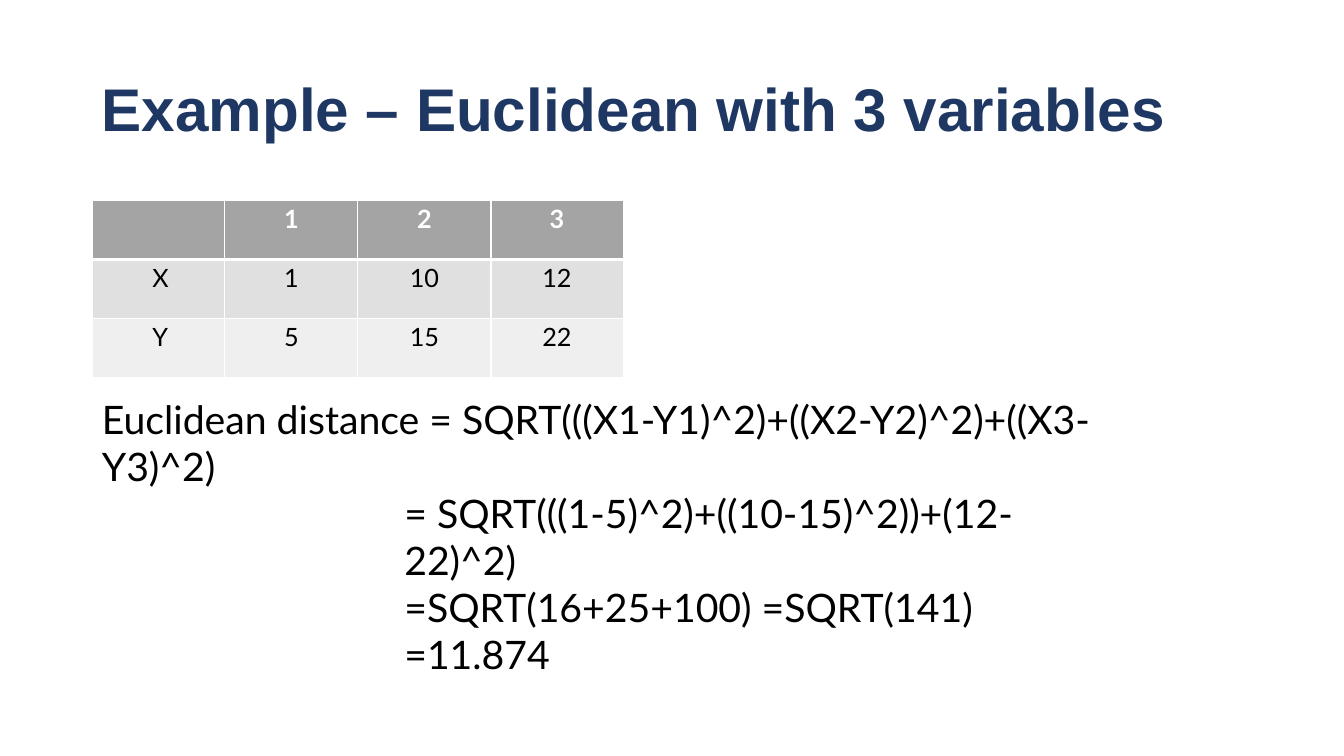
from pptx import Presentation
from pptx.dml.color import RGBColor
from pptx.enum.text import MSO_ANCHOR, PP_ALIGN
from pptx.oxml import parse_xml
from pptx.oxml.ns import nsdecls
from pptx.util import Inches, Pt

NAVY = RGBColor(0x1F, 0x38, 0x63)
WHITE = RGBColor(0xFF, 0xFF, 0xFF)
BLACK = RGBColor(0, 0, 0)
ROW_FILLS = [RGBColor(0xA4, 0xA4, 0xA4), RGBColor(0xE0, 0xE0, 0xE0), RGBColor(0xEF, 0xEF, 0xEF)]


def write(paragraph, text, name, size, color, bold=False, before=0, indent=0):
    paragraph.space_before = Pt(before)
    paragraph._p.get_or_add_pPr().set("marL", str(Inches(indent)))
    paragraph._p.get_or_add_pPr().set("indent", "0")
    run = paragraph.add_run()
    run.text = text
    for attribute, value in {"name": name, "size": Pt(size), "bold": bold}.items():
        setattr(run.font, attribute, value)
    run.font.color.rgb = color


def set_frame(frame):
    settings = {"margin_left": 0, "margin_right": 0, "margin_top": Inches(0.01), "margin_bottom": 0,
                "word_wrap": True, "vertical_anchor": MSO_ANCHOR.TOP}
    for attribute, value in settings.items():
        setattr(frame, attribute, value)


presentation = Presentation()
presentation.slide_width = Inches(13.33)
presentation.slide_height = Inches(7.5)
slide = presentation.slides.add_slide(presentation.slide_layouts[5])

title = slide.shapes.title
title.left, title.top, title.width, title.height = map(Inches, (1, 0.7, 10.58, 0.74))
set_frame(title.text_frame)
title_paragraph = title.text_frame.paragraphs[0]
title_paragraph.alignment = PP_ALIGN.LEFT
write(title_paragraph, "Example – Euclidean with 3 variables", "Arial", 43, NAVY, True, 0.9, 0.01)

points = [["", "1", "2", "3"], ["X", "1", "10", "12"], ["Y", "5", "15", "22"]]
row_spacing = [2.2, 2.4, 2.5]
line_widths = [0.75, 3, 1, 0.5]
table_frame = slide.shapes.add_table(3, 4, Inches(0.92), Inches(1.99), Inches(5.26), Inches(1.75))
table = table_frame.table
for column, width in zip(table.columns, (1.31, 1.32, 1.32, 1.31)):
    column.width = Inches(width)
for row_index, values in enumerate(points):
    table.rows[row_index].height = Inches(1.75 / 3)
    for column_index, value in enumerate(values):
        cell = table.cell(row_index, column_index)
        for side in ("left", "right", "bottom"):
            setattr(cell, f"margin_{side}", 0)
        cell.margin_top = Inches(0.03)
        borders = {"lnL": 1 if column_index else 0.5, "lnR": 1 if column_index < 3 else 0.75,
                   "lnT": line_widths[row_index], "lnB": line_widths[row_index + 1]}
        for tag, width in borders.items():
            cell._tc.get_or_add_tcPr().append(parse_xml(
                f'<a:{tag} {nsdecls("a")} w="{Pt(width)}"><a:solidFill>'
                f'<a:srgbClr val="{WHITE}"/></a:solidFill></a:{tag}>'))
        cell.fill.solid()
        cell.fill.fore_color.rgb = ROW_FILLS[row_index]
        if value:
            is_header = row_index == 0
            paragraph = cell.text_frame.paragraphs[0]
            paragraph.alignment = PP_ALIGN.CENTER if column_index else PP_ALIGN.LEFT
            write(paragraph, value, "Lato", 18, WHITE if is_header else BLACK, is_header,
                  row_spacing[row_index], 0 if column_index else 0.59)

steps = [
    "Euclidean distance = SQRT(((X1-Y1)^2)+((X2-Y2)^2)+((X3-Y3)^2)",
    "= SQRT(((1-5)^2)+((10-15)^2))+(12-22)^2)",
    "=SQRT(16+25+100) =SQRT(141)",
    "=11.874",
]
calculation = slide.shapes.add_textbox(Inches(1), Inches(3.91), Inches(9.98), Inches(1.89))
set_frame(calculation.text_frame)
for index, step in enumerate(steps):
    paragraph = calculation.text_frame.add_paragraph() if index else calculation.text_frame.paragraphs[0]
    write(paragraph, step, "Lato", 28, BLACK, before=0 if index else 0.9, indent=3.01 if index else 0.01)

presentation.save("out.pptx")
